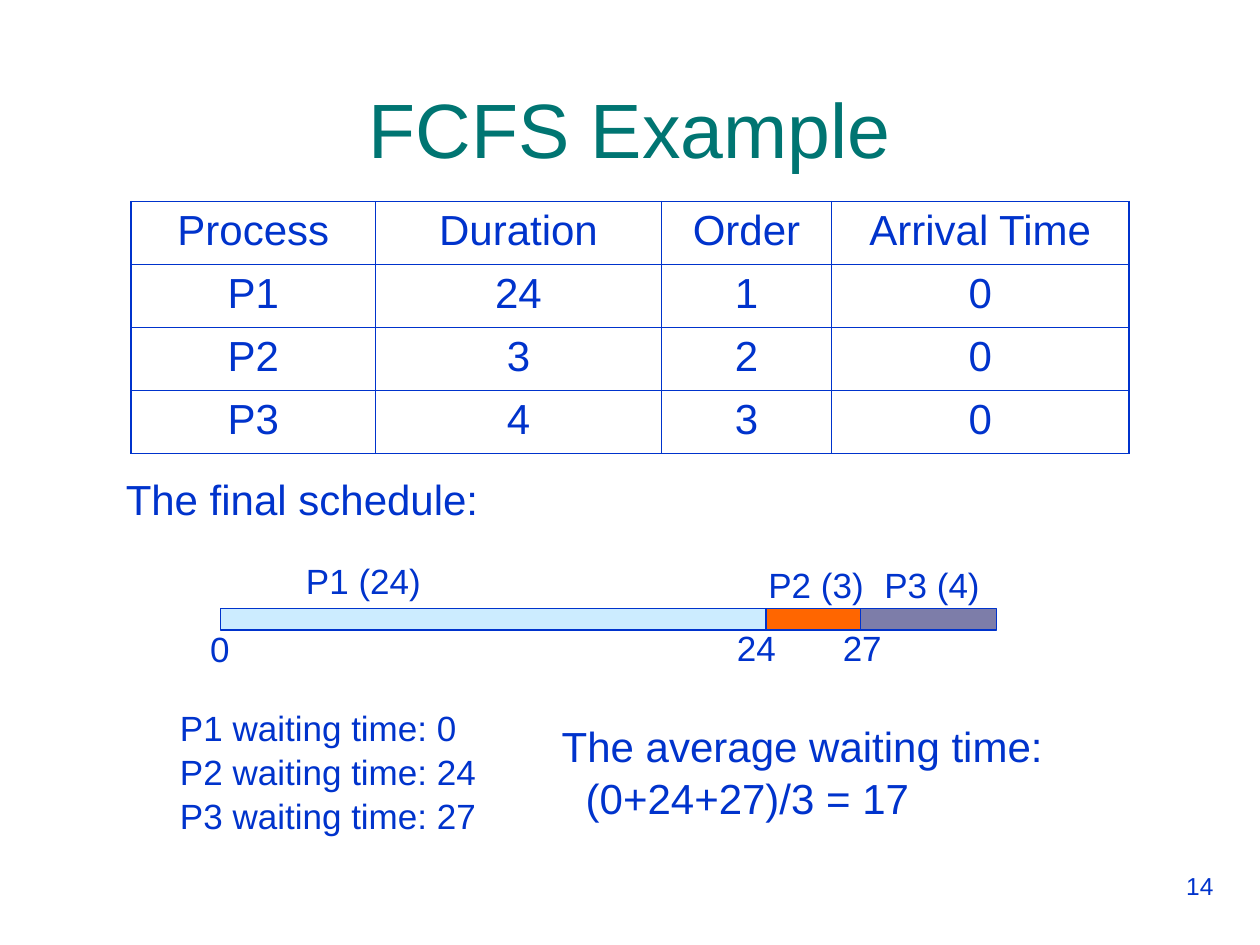
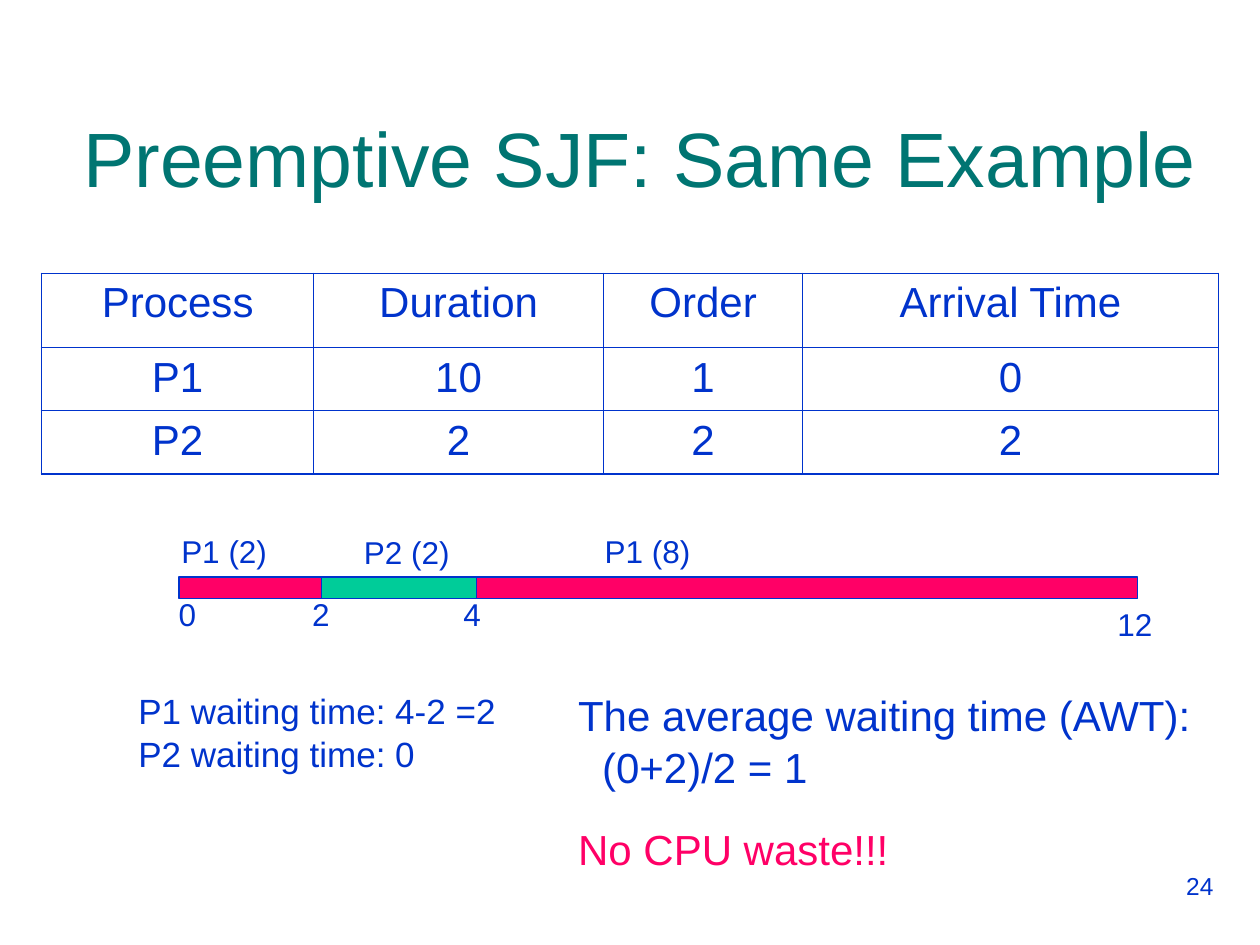
from dataclasses import dataclass
from typing import Any, Optional

import pptx
import pptx.dml.color
import pptx.enum.shapes
import pptx.enum.text
import pptx.oxml
import pptx.oxml.ns
import pptx.util
from pptx.util import Inches

ALIGN = pptx.enum.text.PP_ALIGN
ANCHOR = pptx.enum.text.MSO_ANCHOR
TITLE_ONLY = 5


@dataclass(frozen=True)
class Theme:
    font: str = "Arial"
    text: str = "0033CC"
    title: str = "007572"
    sky: str = "CCECFF"
    orange: str = "FF6600"
    slate: str = "7D7DA9"
    pink: str = "FF0066"
    green: str = "00CC99"
    title_size: int = 44
    body_size: int = 24
    note_size: int = 20
    label_size: int = 18
    number_size: int = 14
    outer_line: float = 1.08
    inner_line: float = 0.45
    bar_line: float = 0.75
    line_height: float = 1.2
    line_spacing: float = 1.04


THEME = Theme()


@dataclass(frozen=True)
class Line:
    text: str
    color: str = THEME.text
    indent: float = 0
    before: float = 0


@dataclass(frozen=True)
class Note:
    left: float
    top: float
    width: float
    lines: tuple[Line, ...]
    size: int = THEME.body_size
    wrap: bool = False
    align: Any = ALIGN.LEFT


@dataclass(frozen=True)
class Bar:
    left: float
    width: float
    color: str


@dataclass(frozen=True)
class Schedule:
    top: float
    label_size: int
    bars: tuple[Bar, ...]
    labels: tuple[tuple[str, float, float, float], ...]


@dataclass(frozen=True)
class ProcessTable:
    left: float
    top: float
    columns: tuple[float, ...]
    heights: tuple[float, ...]
    processes: tuple[tuple[str, ...], ...]


@dataclass(frozen=True)
class Example:
    number: str
    title: str
    title_left: float
    title_top: float
    table: ProcessTable
    schedule: Schedule
    notes: tuple[Note, ...]


def rgb(color: str) -> pptx.dml.color.RGBColor:
    return pptx.dml.color.RGBColor.from_string(color)


def write(p: Any, text: str, *, size: int = THEME.body_size, color: str = THEME.text,
          align: Any = ALIGN.LEFT, before: float = 0,
          spacing: Optional[float] = None) -> None:
    p.alignment = align
    p.space_before = pptx.util.Pt(before)
    if spacing:
        p.line_spacing = spacing
    r = p.add_run()
    r.text = text
    r.font.name = THEME.font
    r.font.size = pptx.util.Pt(size)
    r.font.color.rgb = rgb(color)


def add_note(s: Any, note: Note) -> None:
    height = len(note.lines) * note.size * THEME.line_height / 72 + 0.1
    sp = s.shapes.add_textbox(Inches(note.left), Inches(note.top),
                              Inches(note.width), Inches(height))
    tf = sp.text_frame
    tf.word_wrap = note.wrap
    for i, line in enumerate(note.lines):
        p = tf.add_paragraph() if i else tf.paragraphs[0]
        if line.indent:
            p._p.get_or_add_pPr().set("marL", str(Inches(line.indent)))
        write(p, line.text, size=note.size, color=line.color, align=note.align,
              before=line.before, spacing=THEME.line_spacing if i else None)


def add_title(s: Any, example: Example) -> None:
    sp = s.shapes.title
    sp.left, sp.top = Inches(example.title_left), Inches(example.title_top)
    sp.width, sp.height = Inches(9.34), Inches(1.25)
    tf = sp.text_frame
    tf.word_wrap = True
    tf.auto_size = pptx.enum.text.MSO_AUTO_SIZE.NONE
    tf.vertical_anchor = ANCHOR.MIDDLE
    write(tf.paragraphs[0], example.title, size=THEME.title_size,
          color=THEME.title, align=ALIGN.CENTER)


def set_borders(cell: Any, outer: dict[str, bool]) -> None:
    tc_pr = cell._tc.get_or_add_tcPr()
    for i, (side, is_outer) in enumerate(outer.items()):
        width = pptx.util.Pt(THEME.outer_line if is_outer else THEME.inner_line)
        tc_pr.insert(i, pptx.oxml.parse_xml(
            f'<a:ln{side} {pptx.oxml.ns.nsdecls("a")} w="{width}"><a:solidFill>'
            f'<a:srgbClr val="{THEME.text}"/></a:solidFill></a:ln{side}>'))


def add_process_table(s: Any, spec_table: ProcessTable) -> None:
    rows = (("Process", "Duration", "Order", "Arrival Time"),) + spec_table.processes
    last_row, last_col = len(rows) - 1, len(spec_table.columns) - 1
    table = s.shapes.add_table(
        len(rows), len(spec_table.columns), Inches(spec_table.left),
        Inches(spec_table.top), Inches(sum(spec_table.columns)),
        Inches(sum(spec_table.heights))).table
    table.first_row = table.horz_banding = False
    for column, width in zip(table.columns, spec_table.columns):
        column.width = Inches(width)
    for i, (row, height) in enumerate(zip(rows, spec_table.heights)):
        table.rows[i].height = Inches(height)
        for j, text in enumerate(row):
            cell = table.cell(i, j)
            cell.fill.background()
            set_borders(cell, {"L": j == 0, "R": j == last_col,
                               "T": i == 0, "B": i == last_row})
            write(cell.text_frame.paragraphs[0], text, align=ALIGN.CENTER)


def add_schedule(s: Any, schedule: Schedule) -> None:
    for bar in schedule.bars:
        sp = s.shapes.add_shape(
            pptx.enum.shapes.MSO_SHAPE.RECTANGLE, Inches(bar.left),
            Inches(schedule.top), Inches(bar.width), Inches(0.17))
        sp.shadow.inherit = False
        sp.fill.solid()
        sp.fill.fore_color.rgb = rgb(bar.color)
        sp.line.color.rgb = rgb(THEME.text)
        sp.line.width = pptx.util.Pt(THEME.bar_line)
    for text, left, top, width in schedule.labels:
        add_note(s, Note(left, top, width, (Line(text),), schedule.label_size))


def add_example(prs: Any, example: Example) -> None:
    s = prs.slides.add_slide(prs.slide_layouts[TITLE_ONLY])
    add_title(s, example)
    add_process_table(s, example.table)
    add_schedule(s, example.schedule)
    for note in example.notes:
        add_note(s, note)
    add_note(s, Note(7.23, 6.86, 2.5, (Line(example.number),),
                     THEME.number_size, True, ALIGN.RIGHT))


EXAMPLES = (
    Example(
        "14", "FCFS Example", 0.33, 0.39,
        ProcessTable(1.04, 1.6, (1.94, 2.27, 1.35, 2.36), (0.5,) * 4, (
            ("P1", "24", "1", "0"),
            ("P2", "3", "2", "0"),
            ("P3", "4", "3", "0"))),
        Schedule(
            4.83, THEME.note_size,
            (Bar(1.75, 4.42, THEME.sky), Bar(6.08, 0.83, THEME.orange),
             Bar(6.83, 1.08, THEME.slate)),
            (("P1 (24)", 2.33, 4.39, 1.11), ("P2 (3)", 6, 4.42, 0.96),
             ("P3 (4)", 6.92, 4.42, 0.96), ("0", 1.57, 4.93, 0.35),
             ("24", 5.75, 4.92, 0.51), ("27", 6.59, 4.92, 0.51))),
        (Note(0.9, 3.71, 3, (Line("The final schedule:"),)),
         Note(1.33, 5.56, 2.55, (
             Line("P1 waiting time: 0"),
             Line("P2 waiting time: 24"),
             Line("P3 waiting time: 27")), THEME.note_size),
         Note(4.36, 5.67, 4.11, (
             Line("The average waiting time:"),
             Line("(0+24+27)/3 = 17", indent=0.19)), wrap=True))),
    Example(
        "24", "Preemptive SJF: Same Example", 0.41, 0.62,
        ProcessTable(0.33, 2.17, (2.16, 2.3, 1.58, 3.3), (0.59, 0.5, 0.5), (
            ("P1", "10", "1", "0"),
            ("P2", "2", "2", "2"))),
        Schedule(
            4.58, THEME.label_size,
            (Bar(3.78, 5.25, THEME.pink), Bar(2.53, 1.25, THEME.green),
             Bar(1.42, 1.13, THEME.pink)),
            (("P1 (2)", 1.34, 4.17, 0.88), ("P2 (2)", 2.79, 4.18, 0.88),
             ("P1 (8)", 4.7, 4.17, 0.88), ("0", 1.32, 4.67, 0.34),
             ("2", 2.38, 4.67, 0.34), ("4", 3.58, 4.67, 0.34),
             ("12", 8.77, 4.75, 0.48))),
        (Note(1, 5.42, 3.04, (
            Line("P1 waiting time: 4-2 =2"),
            Line("P2 waiting time: 0")), THEME.note_size),
         Note(4.49, 5.42, 5.16, (
             Line("The average waiting time (AWT):"),
             Line("(0+2)/2 = 1", indent=0.19),
             Line("No CPU waste!!!", THEME.pink, before=17)), wrap=True))),
)


def main() -> None:
    prs = pptx.Presentation()
    prs.slide_width, prs.slide_height = Inches(10), Inches(7.5)
    for example in EXAMPLES:
        add_example(prs, example)
    prs.save("out.pptx")


if __name__ == "__main__":
    main()
